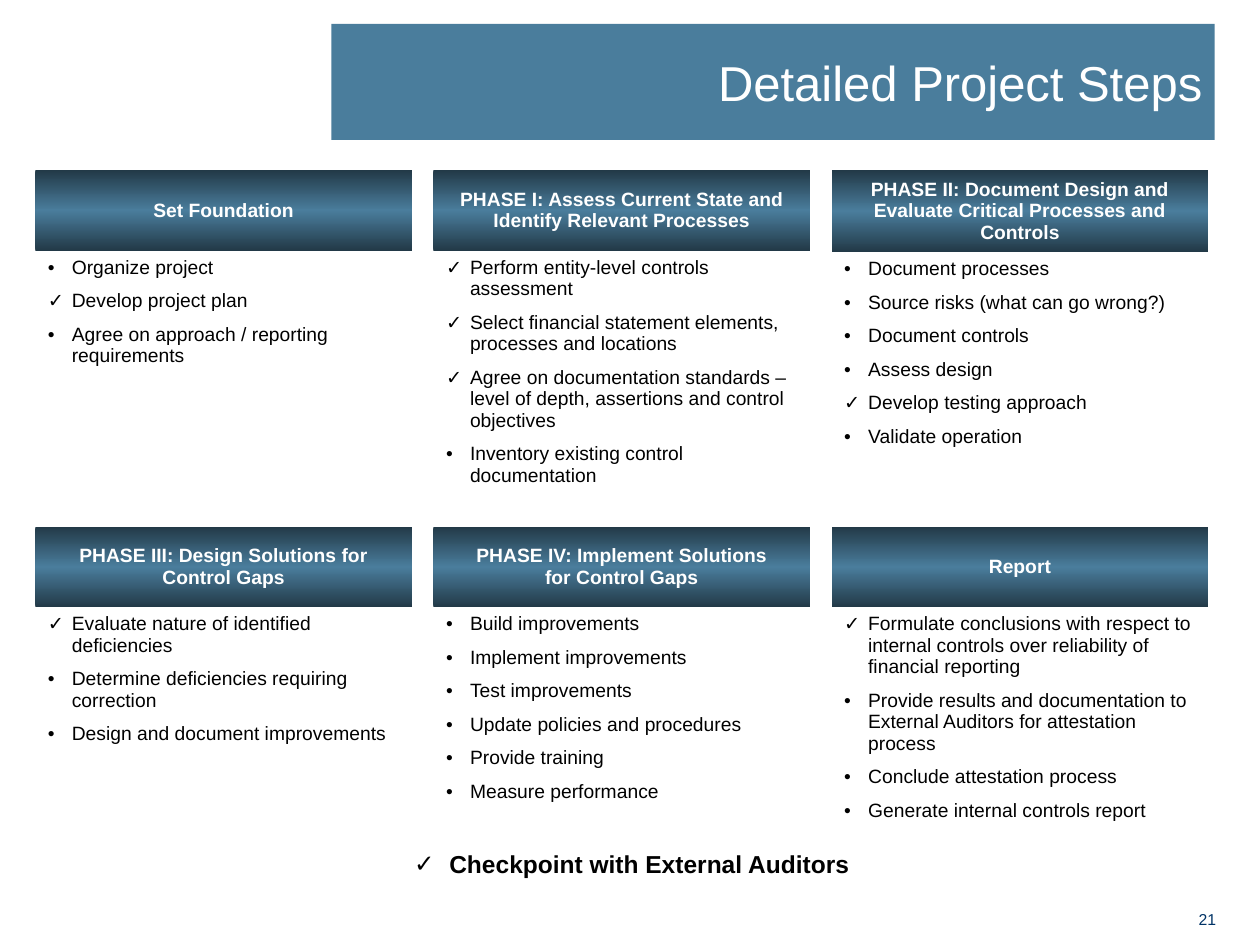
from copy import deepcopy
from dataclasses import dataclass

from lxml import etree
from pptx import Presentation
from pptx import util as u
from pptx.dml.color import RGBColor
from pptx.enum import shapes, text
from pptx.oxml.ns import qn


@dataclass(frozen=True)
class Theme:
    font: str = "Arial"
    blue: str = "4A7D9C"
    dark_blue: str = "223947"
    navy: str = "003366"
    white: str = "FFFFFF"
    black: str = "000000"
    title_size: float = 28
    note_size: float = 14
    table_size: float = 11
    number_size: float = 9
    item_gap: float = 6.9
    plain_table: str = "{2D5ABB26-0587-4C30-8999-92F81FD0307C}"


@dataclass(frozen=True)
class Item:
    words: str
    checkpoint: bool = False


@dataclass(frozen=True)
class Phase:
    heading: str
    body_height: float
    items: tuple[Item, ...]


THEME = Theme()
DOT, CHECK = "•", "✓"

# Grid of phase tables
LEFT, COLUMN_STEP, COLUMN_WIDTH = 0.28, 3.16, 2.99
ROW_TOPS = (1.35, 4.18)
HEADING_HEIGHT = 0.64
COLUMNS = 3

PHASES = (
    Phase("Set Foundation", 1.03, (
        Item("Organize project"),
        Item("Develop project plan", True),
        Item("Agree on approach / reporting requirements"),
    )),
    Phase("PHASE I: Assess Current State and Identify Relevant Processes", 2.04, (
        Item("Perform entity-level controls assessment", True),
        Item("Select financial statement elements, processes and locations", True),
        Item("Agree on documentation standards – level of depth, assertions "
             "and control objectives", True),
        Item("Inventory existing control documentation"),
    )),
    Phase("PHASE II: Document Design and Evaluate Critical Processes and Controls", 1.68, (
        Item("Document processes"),
        Item("Source risks (what can go wrong?)"),
        Item("Document controls"),
        Item("Assess design"),
        Item("Develop testing approach", True),
        Item("Validate operation"),
    )),
    Phase("PHASE III: Design Solutions for Control Gaps", 1.21, (
        Item("Evaluate nature of identified deficiencies", True),
        Item("Determine deficiencies requiring correction"),
        Item("Design and document improvements"),
    )),
    Phase("PHASE IV: Implement Solutions\nfor Control Gaps", 1.68, (
        Item("Build improvements"),
        Item("Implement improvements"),
        Item("Test improvements"),
        Item("Update policies and procedures"),
        Item("Provide training"),
        Item("Measure performance"),
    )),
    Phase("Report", 1.86, (
        Item("Formulate conclusions with respect to internal controls over "
             "reliability of financial reporting", True),
        Item("Provide results and documentation to External Auditors for "
             "attestation process"),
        Item("Conclude attestation process"),
        Item("Generate internal controls report"),
    )),
)


def write(para, words: str, size: float, color: str, align=text.PP_ALIGN.LEFT,
          bold: bool = False) -> None:
    """Add the words to a paragraph, one run per forced line."""
    para.alignment = align
    for index, line in enumerate(words.split("\n")):
        if index:
            para.add_line_break()
        span = para.add_run()
        span.text = line
        span.font.name = THEME.font
        span.font.size = u.Pt(size)
        span.font.bold = bold
        span.font.color.rgb = RGBColor.from_string(color)


def add_bullet(para, mark: str, indent: float) -> None:
    """Give a paragraph a black bullet with a hanging indent."""
    props = para._p.get_or_add_pPr()
    props.set("marL", str(u.Inches(indent)))
    props.set("indent", str(-u.Inches(indent)))
    color = etree.SubElement(props, qn("a:buClr"))
    etree.SubElement(color, qn("a:srgbClr"), val=THEME.black)
    etree.SubElement(props, qn("a:buFont"), typeface=THEME.font)
    etree.SubElement(props, qn("a:buChar"), char=mark)


def shade_heading(cell) -> None:
    """Fill a cell with a vertical dark-light-dark gradient."""
    cell.fill.gradient()
    cell.fill.gradient_angle = 270
    stops = cell._tc.tcPr.find(qn("a:gradFill")).find(qn("a:gsLst"))
    stops.append(deepcopy(stops[-1]))
    looks = ((0, THEME.dark_blue), (0.5, THEME.blue), (1, THEME.dark_blue))
    for stop, (position, color) in zip(cell.fill.gradient_stops, looks):
        stop.position = position
        stop.color.rgb = RGBColor.from_string(color)


def add_phase(page, phase: Phase, left: float, top: float) -> None:
    frame = page.shapes.add_table(
        2, 1, u.Inches(left), u.Inches(top), u.Inches(COLUMN_WIDTH),
        u.Inches(HEADING_HEIGHT + phase.body_height))
    table = frame.table
    table.first_row = table.horz_banding = False
    table._tbl.tblPr.find(qn("a:tableStyleId")).text = THEME.plain_table
    for row, height in zip(table.rows, (HEADING_HEIGHT, phase.body_height)):
        row.height = u.Inches(height)

    heading, body = table.cell(0, 0), table.cell(1, 0)
    shade_heading(heading)
    heading.vertical_anchor = text.MSO_ANCHOR.MIDDLE
    write(heading.text_frame.paragraphs[0], phase.heading, THEME.table_size,
          THEME.white, text.PP_ALIGN.CENTER, bold=True)

    body.fill.background()
    for index, item in enumerate(phase.items):
        para = body.text_frame.add_paragraph() if index else body.text_frame.paragraphs[0]
        add_bullet(para, CHECK if item.checkpoint else DOT, 0.19)
        if index:
            para.space_before = u.Pt(THEME.item_gap)
        write(para, item.words, THEME.table_size, THEME.black)


def add_text(page, left: float, top: float, width: float, height: float):
    """Add a wrapping text box and return its first paragraph."""
    box = page.shapes.add_textbox(*map(u.Inches, (left, top, width, height)))
    box.text_frame.word_wrap = True
    return box.text_frame.paragraphs[0]


def add_title(page, words: str) -> None:
    banner = page.shapes.add_shape(
        shapes.MSO_SHAPE.RECTANGLE, *map(u.Inches, (2.63, 0.19, 7.01, 0.92)))
    banner.shadow.inherit = False
    banner.fill.solid()
    banner.fill.fore_color.rgb = RGBColor.from_string(THEME.blue)
    banner.line.fill.background()
    banner.text_frame.word_wrap = True
    banner.text_frame.vertical_anchor = text.MSO_ANCHOR.MIDDLE
    write(banner.text_frame.paragraphs[0], words, THEME.title_size, THEME.white,
          text.PP_ALIGN.RIGHT)


def main() -> None:
    deck = Presentation()
    deck.slide_width, deck.slide_height = u.Inches(10), u.Inches(7.5)
    page = deck.slides.add_slide(deck.slide_layouts[6])

    # Page number and title
    write(add_text(page, 6.72, 7.17, 3.03, 0.25), "21", THEME.number_size,
          THEME.navy, text.PP_ALIGN.RIGHT)
    add_title(page, "Detailed Project Steps")

    # Phase tables, three to a row
    for index, phase in enumerate(PHASES):
        row, column = divmod(index, COLUMNS)
        add_phase(page, phase, LEFT + column * COLUMN_STEP, ROW_TOPS[row])

    # Key to the check marks
    key = add_text(page, 3.01, 6.69, 4.01, 0.34)
    add_bullet(key, CHECK, 0.28)
    write(key, "Checkpoint with External Auditors", THEME.note_size, THEME.black,
          text.PP_ALIGN.CENTER, bold=True)

    deck.save("out.pptx")


if __name__ == "__main__":
    main()
